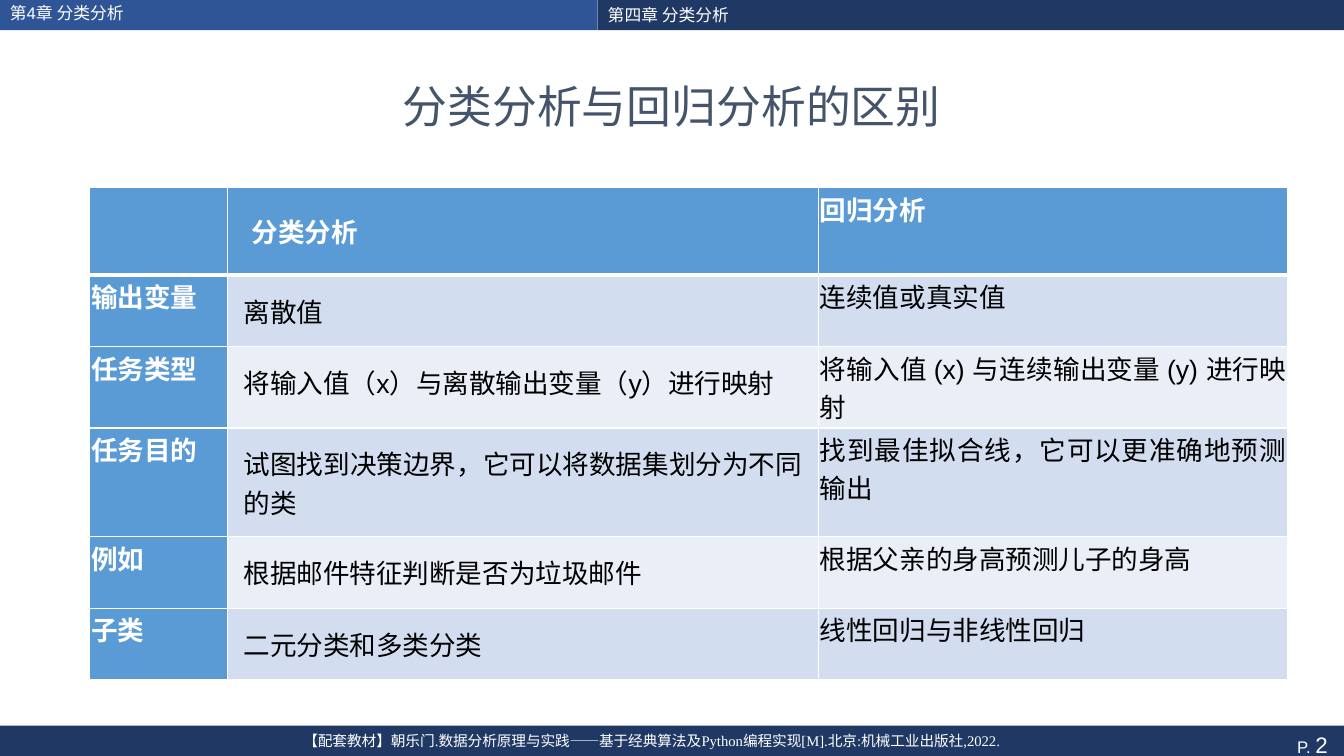
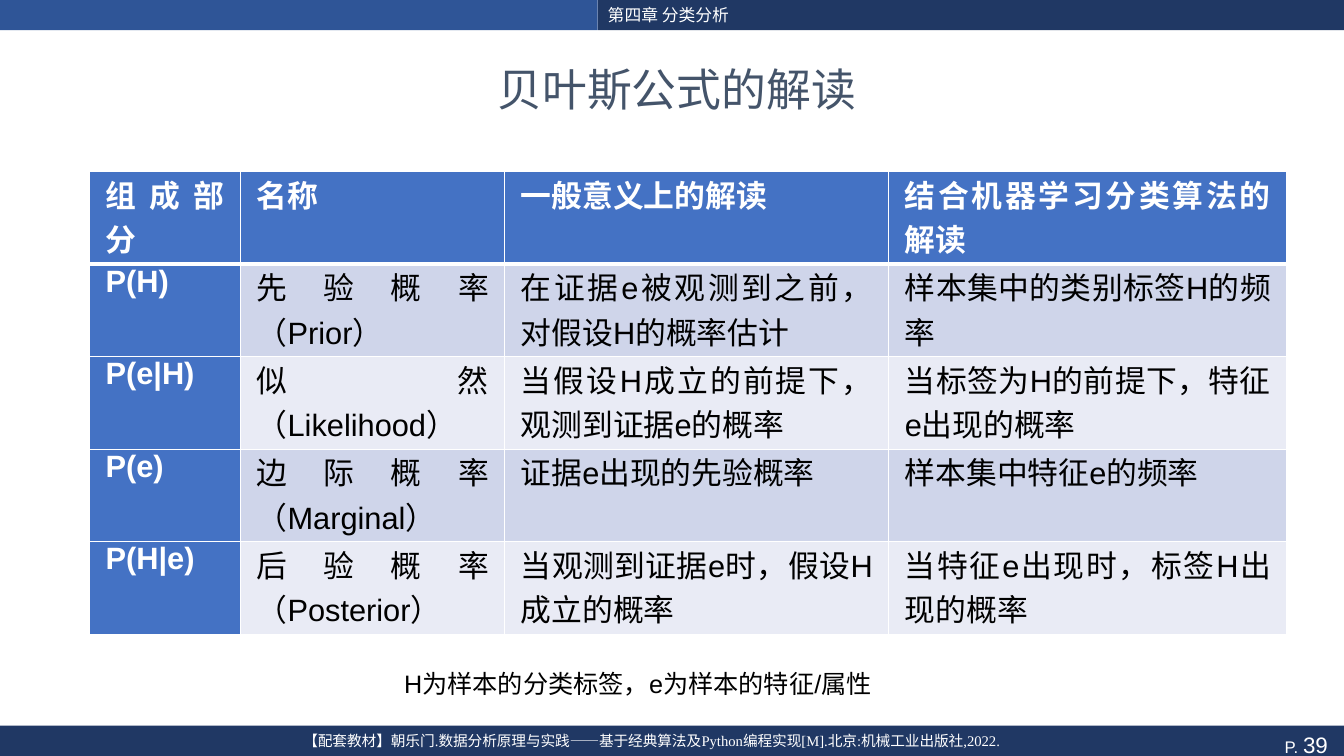
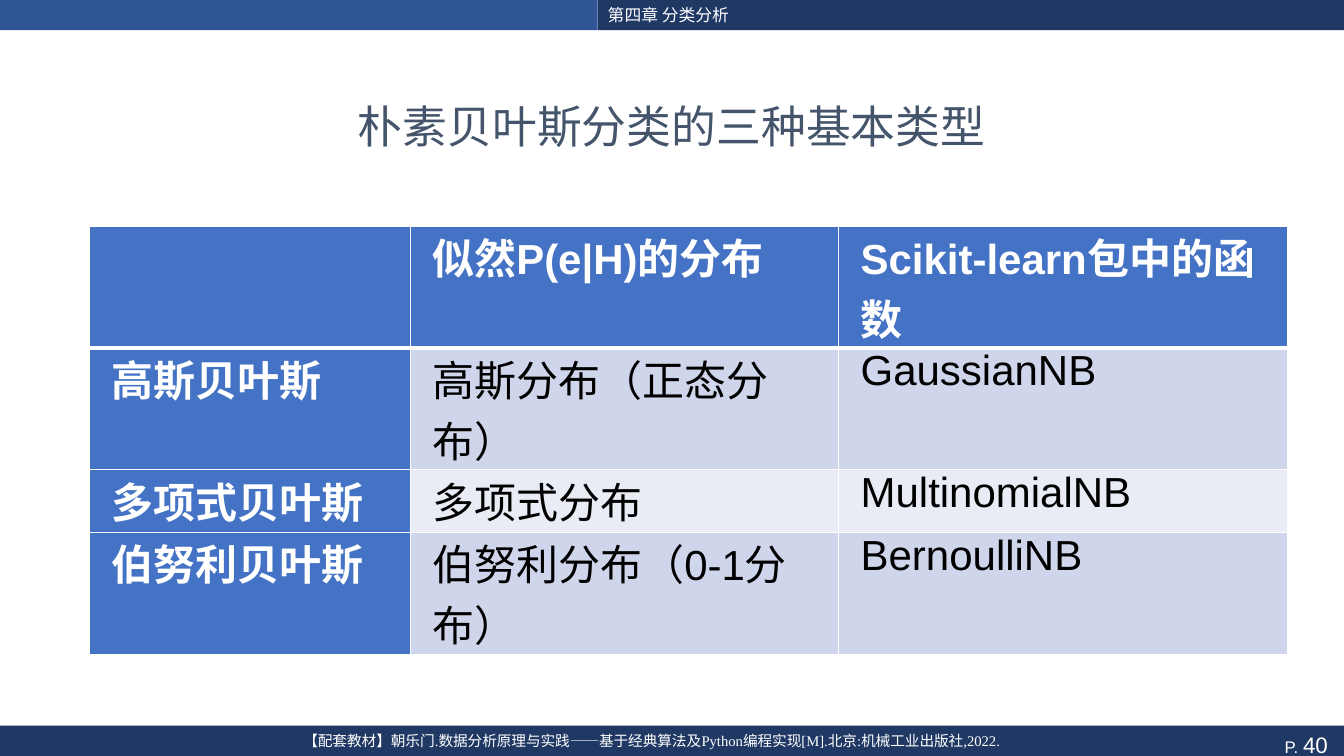
from dataclasses import dataclass
from typing import Optional

from lxml import etree
from pptx import Presentation
from pptx.dml.color import RGBColor
from pptx.enum.shapes import MSO_SHAPE
from pptx.enum.text import MSO_ANCHOR, PP_ALIGN
from pptx.oxml.ns import qn
from pptx.util import Pt

RECTANGLE = MSO_SHAPE.RECTANGLE
TOP, MIDDLE = MSO_ANCHOR.TOP, MSO_ANCHOR.MIDDLE
LEFT, CENTER = PP_ALIGN.LEFT, PP_ALIGN.CENTER
RIGHT, JUSTIFY = PP_ALIGN.RIGHT, PP_ALIGN.JUSTIFY

WHITE = RGBColor(0xFF, 0xFF, 0xFF)
BLACK = RGBColor(0x00, 0x00, 0x00)
NAVY = RGBColor(0x20, 0x38, 0x64)
BLUE = RGBColor(0x2F, 0x55, 0x97)
SLATE = RGBColor(0x44, 0x54, 0x6A)

SANS, SERIF, CJK = "Arial", "Times New Roman", "Noto Sans CJK SC"
SLIDE_WIDTH, SLIDE_HEIGHT = 960, 540
BAND_HEIGHT, BAND_SPLIT = 21.6, 427
TABLE_LEFT = 64
THIN, THICK = 1, 3
CHAPTER = "第四章 分类分析"
TEXTBOOK = ("【配套教材】朝乐门.数据分析原理与实践——基于经典算法及Python编程实现[M]."
            "北京:机械工业出版社,2022.")


@dataclass(frozen=True)
class Palette:
    accent: RGBColor
    odd_row: RGBColor
    even_row: RGBColor


SKY = Palette(RGBColor(0x5B, 0x9B, 0xD5), RGBColor(0xD2, 0xDE, 0xEF), RGBColor(0xEA, 0xEF, 0xF7))
ROYAL = Palette(RGBColor(0x44, 0x72, 0xC4), RGBColor(0xCF, 0xD5, 0xEA), RGBColor(0xE9, 0xEB, 0xF5))


@dataclass(frozen=True)
class Comparison:
    """A table; each inset is a (side, top and bottom) pair, one per column."""
    top: float
    columns: list[float]
    rows: list[float]
    cells: list[list[str]]
    palette: Palette
    size: float
    header_insets: list[tuple[float, float]]
    body_insets: list[tuple[float, float]]
    header_align: PP_ALIGN = LEFT
    body_align: PP_ALIGN = JUSTIFY


@dataclass(frozen=True)
class Lesson:
    page: int
    title: str
    title_top: float
    table: Comparison
    chapter_label: Optional[str] = None
    note: Optional[str] = None


LESSONS = [
    Lesson(
        2, "分类分析与回归分析的区别", 43.2,
        Comparison(
            134, [98.6, 421.9, 335.5], [62.6, 51.1, 58, 77.8, 51.1, 51.1],
            [
                ["", "分类分析", "回归分析"],
                ["输出变量", "离散值", "连续值或真实值"],
                ["任务类型", "将输入值（x）与离散输出变量（y）进行映射",
                 "将输入值 (x) 与连续输出变量 (y) 进行映射"],
                ["任务目的", "试图找到决策边界，它可以将数据集划分为不同的类",
                 "找到最佳拟合线，它可以更准确地预测输出"],
                ["例如", "根据邮件特征判断是否为垃圾邮件", "根据父亲的身高预测儿子的身高"],
                ["子类", "二元分类和多类分类", "线性回归与非线性回归"],
            ],
            SKY, 19,
            header_insets=[(1.2, 1.2), (17.3, 17.3), (1.2, 1.2)],
            body_insets=[(1.2, 1.2), (11.5, 11.5), (1.2, 1.2)],
        ),
        chapter_label="第4章 分类分析",
    ),
    Lesson(
        39, " 贝叶斯公式的解读", 31,
        Comparison(
            122.6, [108, 188.6, 274.3, 284.4], [66.1] * 5,
            [
                ["组成部分", "名称", "一般意义上的解读", "结合机器学习分类算法的解读"],
                ["P(H)", "先验概率（Prior）", "在证据e被观测到之前，对假设H的概率估计",
                 "样本集中的类别标签H的频率"],
                ["P(e|H)", "似然（Likelihood）", "当假设H成立的前提下，观测到证据e的概率",
                 "当标签为H的前提下，特征e出现的概率"],
                ["P(e)", "边际概率（Marginal）", "证据e出现的先验概率", "样本集中特征e的频率"],
                ["P(H|e)", "后验概率（Posterior）", "当观测到证据e时，假设H成立的概率",
                 "当特征e出现时，标签H出现的概率"],
            ],
            ROYAL, 22,
            header_insets=[(11.5, 0)] * 4,
            body_insets=[(11.5, 0)] * 4,
            header_align=JUSTIFY,
        ),
        note="H为样本的分类标签，e为样本的特征/属性",
    ),
    Lesson(
        40, "朴素贝叶斯分类的三种基本类型", 57.6,
        Comparison(
            161.4, [229, 306, 321], [87.1, 87.1, 44.6, 87.1],
            [
                ["", "似然P(e|H)的分布", "Scikit-learn包中的函数"],
                ["高斯贝叶斯", "高斯分布（正态分布）", "GaussianNB"],
                ["多项式贝叶斯", "多项式分布", "MultinomialNB"],
                ["伯努利贝叶斯", "伯努利分布（0-1分布）", "BernoulliNB"],
            ],
            ROYAL, 30,
            header_insets=[(15.8, 0)] * 3,
            body_insets=[(15.8, 0)] * 3,
            body_align=LEFT,
        ),
    ),
]


def write(frame, text: str, *, size: float, color: RGBColor = WHITE, font: str = SANS,
          bold: bool = False, align: PP_ALIGN = LEFT, spacing: Optional[float] = None) -> None:
    """Append a formatted run to the first paragraph of a text frame."""
    frame.word_wrap = True
    paragraph = frame.paragraphs[0]
    paragraph.alignment = align
    if spacing:
        paragraph.line_spacing = spacing
    run = paragraph.add_run()
    run.text = text
    run.font.name = font
    run.font.size = Pt(size)
    run.font.bold = bold
    run.font.color.rgb = color
    east_asian = etree.SubElement(run.font._element, qn("a:ea"))
    east_asian.set("typeface", CJK)


def add_text_box(slide, left: float, top: float, width: float, height: float,
                 anchor: MSO_ANCHOR = TOP):
    frame = slide.shapes.add_textbox(Pt(left), Pt(top), Pt(width), Pt(height)).text_frame
    frame.vertical_anchor = anchor
    return frame


def add_band(slide, left: float, top: float, width: float, height: float, color: RGBColor):
    band = slide.shapes.add_shape(RECTANGLE, Pt(left), Pt(top), Pt(width), Pt(height))
    band.shadow.inherit = False
    band.fill.solid()
    band.fill.fore_color.rgb = color
    band.line.fill.background()
    band.text_frame.vertical_anchor = TOP
    return band.text_frame


def add_frame(slide, page: int) -> None:
    """Draw the header and footer bands that every slide has."""
    add_band(slide, 0, 0, BAND_SPLIT, BAND_HEIGHT, BLUE)
    footer = add_band(slide, 0, 518.4, SLIDE_WIDTH, 26.6, NAVY)
    write(footer, "P. ", size=12, align=RIGHT)
    write(footer, f"{page} ", size=16, align=RIGHT)
    chapter = add_band(slide, BAND_SPLIT, 0, SLIDE_WIDTH - BAND_SPLIT, BAND_HEIGHT, NAVY)
    write(chapter, CHAPTER, size=12)
    textbook = add_text_box(slide, 43.2, 519.1, 844.6, 25.2)
    write(textbook, TEXTBOOK, size=10.5, font=SERIF, align=CENTER)


def set_borders(cell, **widths: float) -> None:
    """Give a cell white borders; must run before the cell is filled."""
    properties = cell._tc.get_or_add_tcPr()
    for side, width in widths.items():
        line = etree.SubElement(properties, qn(f"a:ln{side}"), w=str(Pt(width)))
        fill = etree.SubElement(line, qn("a:solidFill"))
        etree.SubElement(fill, qn("a:srgbClr"), val=str(WHITE))


def add_comparison(slide, spec: Comparison) -> None:
    table = slide.shapes.add_table(
        len(spec.rows), len(spec.columns), Pt(TABLE_LEFT), Pt(spec.top),
        Pt(sum(spec.columns)), Pt(sum(spec.rows))).table
    table.horz_banding = False
    for column, width in zip(table.columns, spec.columns):
        column.width = Pt(width)
    for row, height in zip(table.rows, spec.rows):
        row.height = Pt(height)

    for r, texts in enumerate(spec.cells):
        is_header = r == 0
        insets = spec.header_insets if is_header else spec.body_insets
        band_color = spec.palette.odd_row if r % 2 else spec.palette.even_row
        for c, (text, (side, edge)) in enumerate(zip(texts, insets)):
            cell = table.cell(r, c)
            is_heading = is_header or c == 0
            set_borders(cell, L=THIN, R=THIN, T=THICK if r == 1 else THIN,
                        B=THICK if is_header else THIN)
            cell.fill.solid()
            cell.fill.fore_color.rgb = spec.palette.accent if is_heading else band_color
            cell.margin_left = cell.margin_right = Pt(side)
            cell.margin_top = cell.margin_bottom = Pt(edge)
            if text:
                write(cell.text_frame, text, size=spec.size, bold=is_heading,
                      color=WHITE if is_heading else BLACK,
                      align=spec.header_align if is_header else spec.body_align)


def add_lesson(deck, lesson: Lesson) -> None:
    slide = deck.slides.add_slide(deck.slide_layouts[6])
    add_frame(slide, lesson.page)
    title = add_text_box(slide, 31.7, lesson.title_top, 896.4, 64.8, MIDDLE)
    write(title, lesson.title, size=32, color=SLATE, font=CJK, align=CENTER)
    if lesson.chapter_label:
        label = add_text_box(slide, 0, 0, 347.8, 20.9)
        write(label, lesson.chapter_label, size=12, spacing=0.9)
    add_comparison(slide, lesson.table)
    if lesson.note:
        note = add_text_box(slide, 281.5, 473.8, 538.6, 28.8)
        write(note, lesson.note, size=18, color=BLACK)


def main() -> None:
    deck = Presentation()
    deck.slide_width, deck.slide_height = Pt(SLIDE_WIDTH), Pt(SLIDE_HEIGHT)
    for lesson in LESSONS:
        add_lesson(deck, lesson)
    deck.save("out.pptx")


if __name__ == "__main__":
    main()
